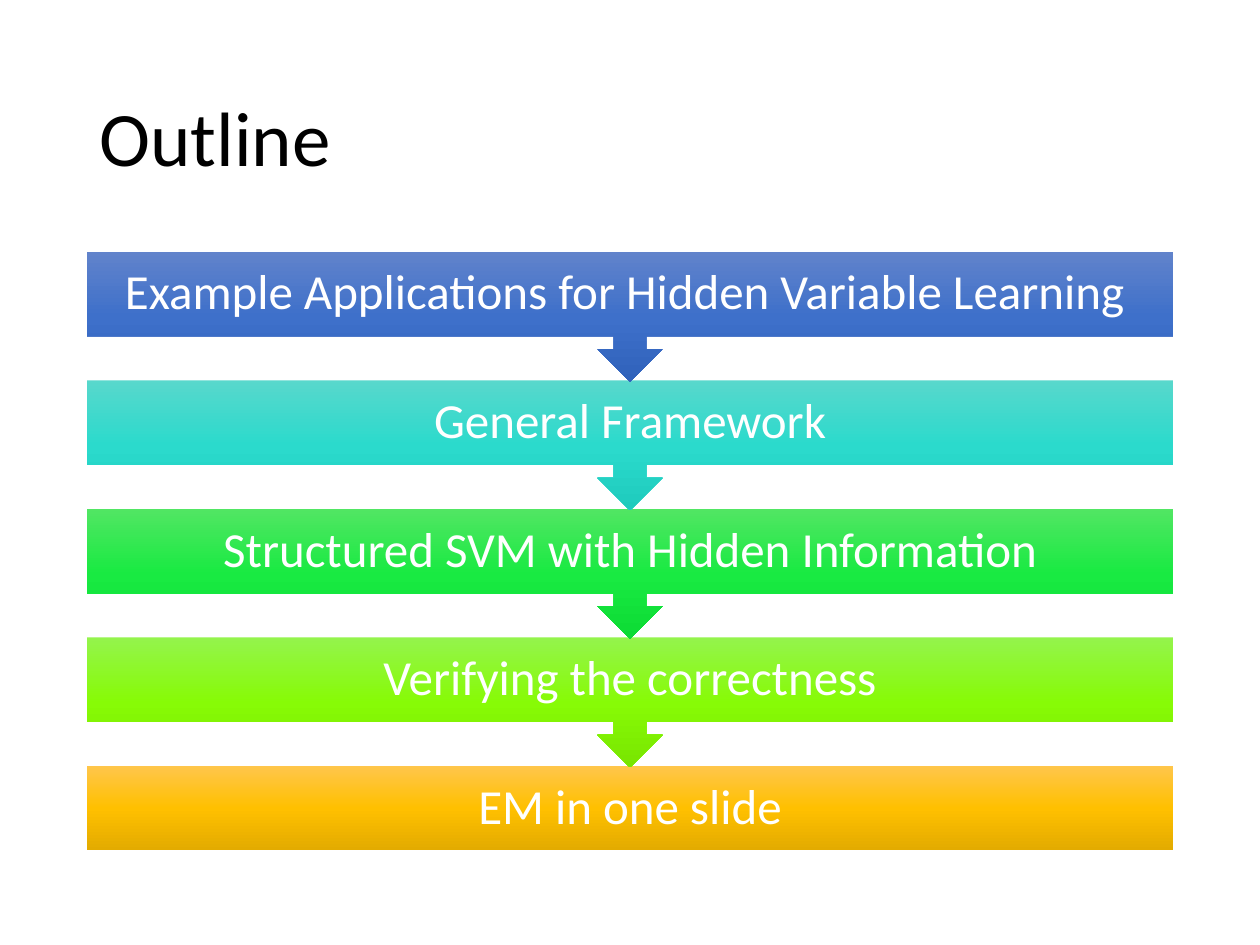
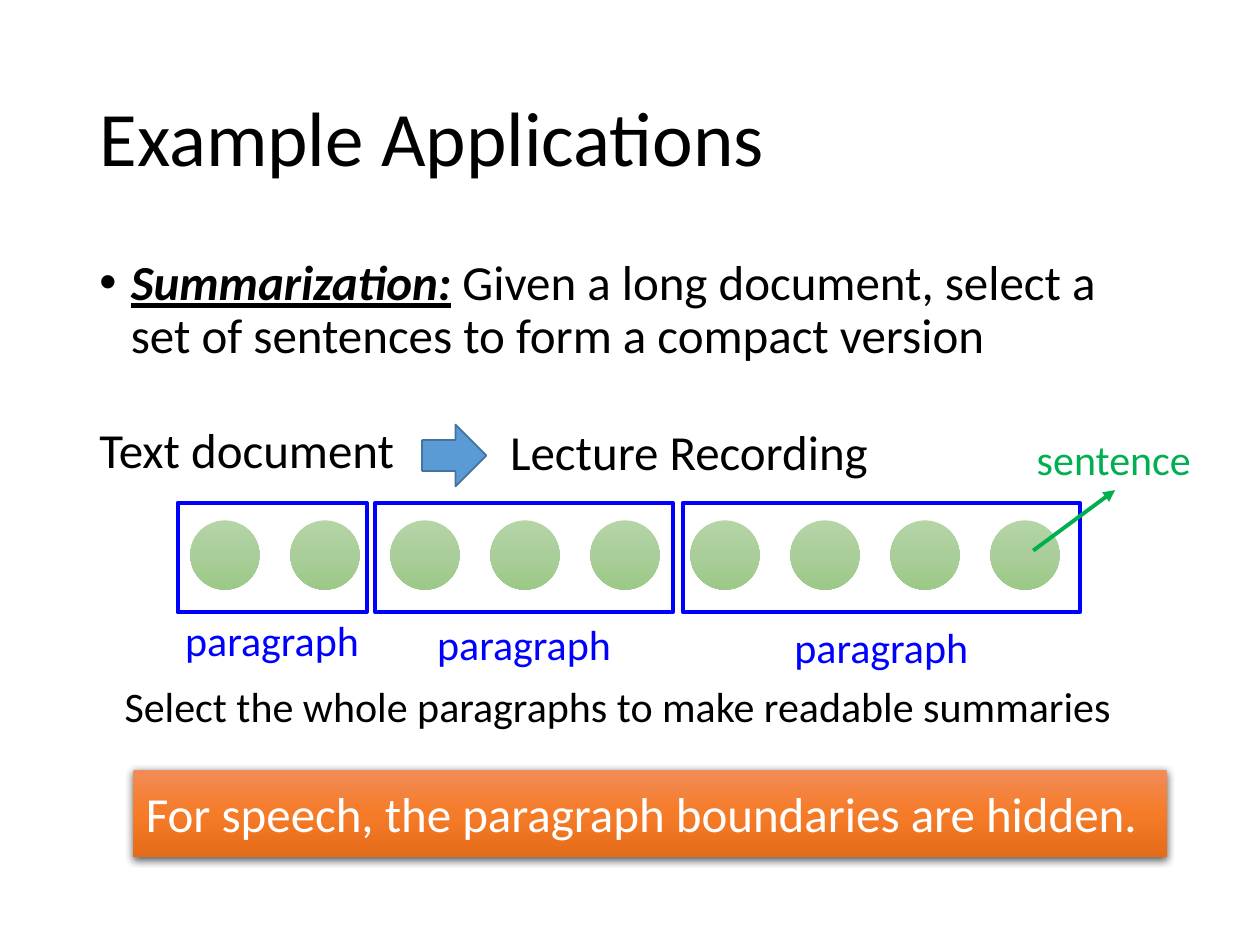
from collections import namedtuple
from copy import deepcopy

from lxml import etree
from pptx import Presentation
from pptx.dml.color import RGBColor
from pptx.enum import shapes, text
from pptx.oxml import ns
from pptx.util import Inches, Pt

Box = namedtuple("Box", "left top width height")
FONT = "Calibri"
COLOURS = {
    "ink": "000000",
    "white": "FFFFFF",
    "paragraph": "0000FF",
    "sentence": "00B050",
    "arrow": "5B9BD5",
    "arrow_edge": "43739E",
}
GRADIENTS = {
    "blue": ("6183CB", "3E70CA", "3062BB"),
    "teal": ("58D8CC", "2BDACC", "1ECBBD"),
    "green": ("51E663", "19EA42", "0CDB34"),
    "lime": ("94F44C", "87FB06", "78E500"),
    "gold": ("FFC64B", "FFC000", "E3AB00"),
    "sentence": ("B5D5A7", "AACE9A", "9CC987"),
    "banner": ("F18C57", "F67B28", "E56C19"),
}
TITLE_BOX = Box(0.69, 0.4, 8.62, 1.45)
BODY_BOX = Box(0.69, 2, 8.62, 4.76)
OUTLINE = [
    ("Example Applications for Hidden Variable Learning ", "blue"),
    ("General Framework", "teal"),
    ("Structured SVM with Hidden Information", "green"),
    ("Verifying the correctness", "lime"),
    ("EM in one slide", "gold"),
]


def colour(name):
    """Return the named colour, or the given hex value, as an RGB colour."""
    return RGBColor.from_string(COLOURS.get(name, name))


def inches(box):
    """Return the four lengths of a box."""
    return [Inches(length) for length in box]


def write_text(shape, spans, size=28, fill="ink", align="LEFT", anchor="TOP",
               wrap=True, spacing=None, bullet=None):
    """Fill a shape with one paragraph of (words, emphasised) spans or a plain string."""
    frame = shape.text_frame
    frame.word_wrap = wrap
    frame.auto_size = text.MSO_AUTO_SIZE.NONE
    frame.vertical_anchor = text.MSO_ANCHOR[anchor]
    para = frame.paragraphs[0]
    para.alignment = text.PP_ALIGN[align]
    para.space_before = Pt(0)
    if spacing:
        para.line_spacing = spacing
    if bullet:
        properties = para._p.get_or_add_pPr()
        properties.set("marL", str(Inches(0.25)))
        properties.set("indent", str(Inches(-0.25)))
        etree.SubElement(properties, ns.qn("a:buFont")).set("typeface", "Arial")
        etree.SubElement(properties, ns.qn("a:buChar")).set("char", bullet)
    for words, emphasised in [(spans, False)] if isinstance(spans, str) else spans:
        span = para.add_run()
        span.text = words
        font = span.font
        font.name, font.size = FONT, Pt(size)
        font.color.rgb = colour(fill)
        if emphasised:
            font.bold = font.italic = font.underline = True


def add_text(page, box, spans, **style):
    """Add a text box."""
    shape = page.shapes.add_textbox(*inches(box))
    write_text(shape, spans, **style)


def add_figure(page, kind, box, fill=None, gradient=None, line=None, weight=1):
    """Add a preset shape with a plain, graded or empty fill."""
    shape = page.shapes.add_shape(shapes.MSO_SHAPE[kind], *inches(box))
    shape.shadow.inherit = False
    if gradient:
        paint_gradient(shape, GRADIENTS[gradient])
    elif fill:
        shape.fill.solid()
        shape.fill.fore_color.rgb = colour(fill)
    else:
        shape.fill.background()
    if line:
        shape.line.color.rgb = colour(line)
        shape.line.width = Pt(weight)
    else:
        shape.line.fill.background()
    return shape


def paint_gradient(shape, stops):
    """Grade a shape from top to bottom through three evenly spaced colours."""
    shape.fill.gradient()
    shape.fill.gradient_angle = 270
    first = shape._element.spPr.find(".//" + ns.qn("a:gs"))
    first.addnext(deepcopy(first))
    for index, (stop, value) in enumerate(zip(shape.fill.gradient_stops, stops)):
        stop.position = index / 2
        stop.color.rgb = colour(value)


def add_shadow(shape):
    """Cast a soft black shadow below a shape."""
    effects = shape._element.spPr.find(ns.qn("a:effectLst"))
    shadow = etree.SubElement(effects, ns.qn("a:outerShdw"), blurRad=str(Pt(4.5)),
                              dist=str(Pt(1.5)), dir="5400000", rotWithShape="0")
    black = etree.SubElement(shadow, ns.qn("a:srgbClr"), val=COLOURS["ink"])
    etree.SubElement(black, ns.qn("a:alpha"), val="63000")


def add_page(deck, title):
    """Add a title-only slide with the shared title style."""
    page = deck.slides.add_slide(deck.slide_layouts[5])
    heading = page.shapes.title
    heading.left, heading.top, heading.width, heading.height = inches(TITLE_BOX)
    write_text(heading, title, size=44, anchor="MIDDLE", spacing=0.9)
    return page


def add_outline(page, box):
    """Stack the topics, each pointing down to the next."""
    pitch, bar_height, callout_height = 1.02, 0.67, 1.03
    last = len(OUTLINE) - 1
    for index, (topic, gradient) in reversed(list(enumerate(OUTLINE))):
        kind, height = (("RECTANGLE", bar_height) if index == last
                        else ("DOWN_ARROW_CALLOUT", callout_height))
        place = Box(box.left, box.top + index * pitch, box.width, height)
        bar = add_figure(page, kind, place, gradient=gradient)
        write_text(bar, topic, fill="white", align="CENTER", anchor="MIDDLE", spacing=0.9)


def add_transition(page, box):
    """Show the step from text documents to lecture recordings."""
    add_text(page, Box(box.left, box.top, 2.66, 0.57), "Text document")
    add_figure(page, "RIGHT_ARROW", Box(box.left + 2.66, box.top + 0.09, 0.51, 0.49),
               fill="arrow", line="arrow_edge")
    add_text(page, Box(box.left + 3.26, box.top + 0.02, 3.05, 0.57), "Lecture Recording")


def add_sentence_row(page, box):
    """Draw the sentences as circles, framed and labelled by paragraph."""
    count, diameter, margin = 9, 0.55, 0.1
    pitch = (6.45 - margin) / (count - 1)
    for index in range(count):
        place = Box(box.left + margin + index * pitch, box.top + 0.14, diameter, diameter)
        add_figure(page, "OVAL", place, gradient="sentence")
    label_width = 1.6
    for offset, width, drop in [(0, 1.5, 0.84), (1.57, 2.36, 0.87), (4.01, 3.15, 0.89)]:
        left = box.left + offset
        add_figure(page, "RECTANGLE", Box(left, box.top, width, box.height),
                   line="paragraph", weight=2.25)
        label = Box(left + (width - label_width) / 2, box.top + drop, label_width, 0.5)
        add_text(page, label, "paragraph", size=24, fill="paragraph",
                 align="CENTER", wrap=False)


def add_sentence_tag(page, box):
    """Name a sentence with an arrow rising from its circle."""
    add_text(page, Box(box.left, box.top, box.width, 0.5), "sentence", size=24,
             fill="sentence", wrap=False)
    pointer = page.shapes.add_connector(
        shapes.MSO_CONNECTOR.STRAIGHT,
        Inches(box.left + 0.07), Inches(box.top + box.height),
        Inches(box.left + 0.72), Inches(box.top + 0.5))
    pointer.line.color.rgb = colour("sentence")
    pointer.line.width = Pt(2.25)
    etree.SubElement(pointer.line._get_or_add_ln(), ns.qn("a:tailEnd"), type="triangle")
    etree.SubElement(pointer._element.spPr, ns.qn("a:effectLst"))


def add_conclusion(page, box):
    """State the goal and, in a banner below it, the difficulty."""
    add_text(page, Box(box.left, box.top, box.width, 0.5),
             "Select the whole paragraphs to make readable summaries", size=24)
    banner = add_figure(page, "RECTANGLE", Box(box.left + 0.17, box.top + 0.76, 8.2, 0.69),
                        gradient="banner")
    add_shadow(banner)
    write_text(banner, "For speech, the paragraph boundaries are hidden.",
               fill="white", anchor="MIDDLE")


def add_summarization(page, box):
    """Place the definition, the diagram and the conclusion."""
    definition = [
        ("Summarization:", True),
        (" Given a long document, select a set of sentences to form a compact version", False),
    ]
    add_text(page, box._replace(height=1.1), definition, spacing=0.9, bullet="•")
    add_sentence_row(page, Box(box.left + 0.72, box.top + 1.99, 7.16, 0.87))
    add_transition(page, Box(box.left, box.top + 1.28, 6.3, 0.59))
    add_conclusion(page, Box(box.left + 0.2, box.top + 3.35, 8.39, 1.45))
    add_sentence_tag(page, Box(box.left + 7.44, box.top + 1.39, 1.44, 0.98))


def main():
    """Build and save the deck."""
    deck = Presentation()
    deck.slide_width, deck.slide_height = Inches(10), Inches(7.5)
    add_outline(add_page(deck, "Outline"), BODY_BOX)
    add_summarization(add_page(deck, "Example Applications"), BODY_BOX)
    deck.save("out.pptx")


if __name__ == "__main__":
    main()
